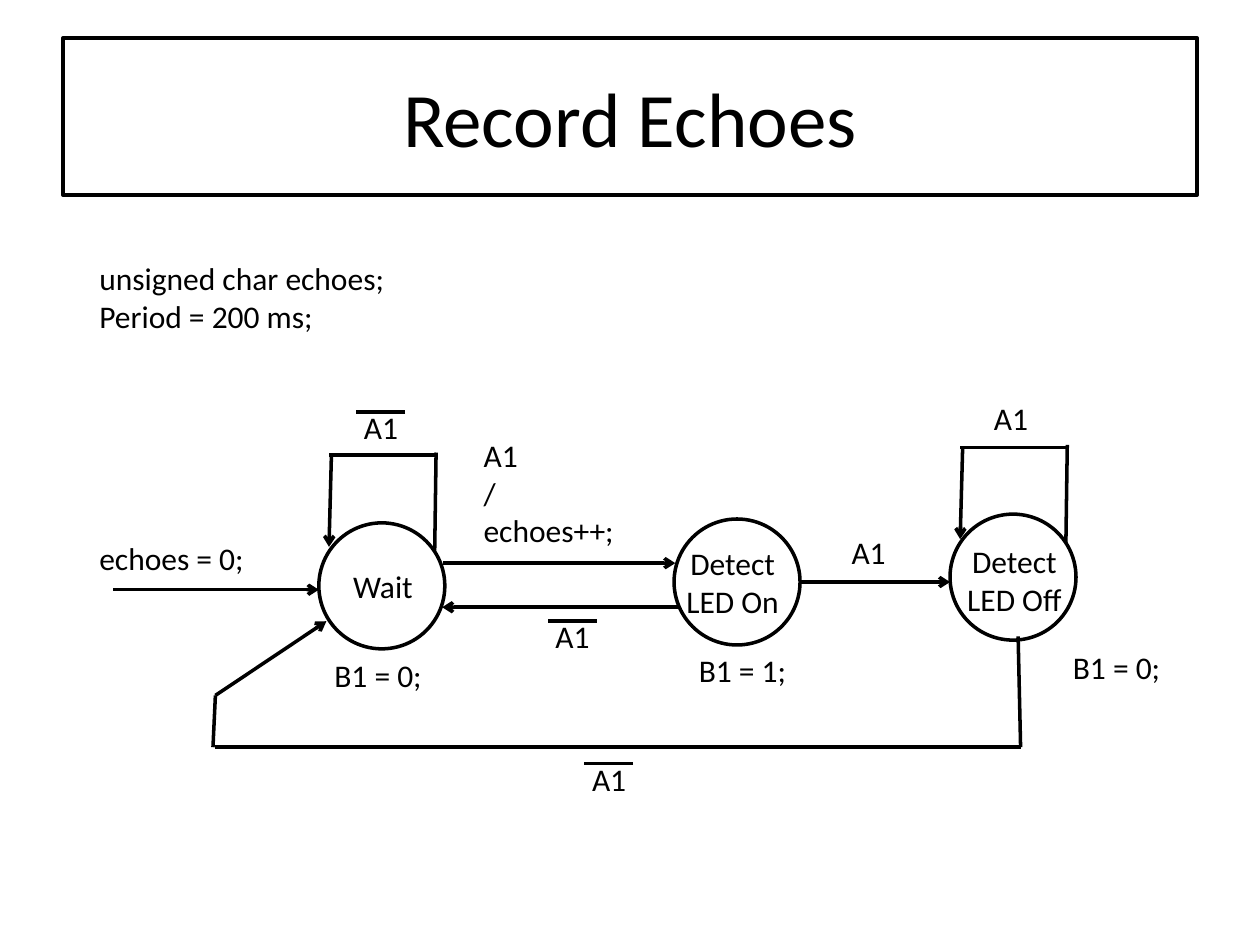
from pptx import Presentation
from pptx.util import Pt
from pptx.dml.color import RGBColor
from pptx.enum.shapes import MSO_CONNECTOR as Link, MSO_SHAPE as Shape
from pptx.enum.text import MSO_ANCHOR as Anchor, MSO_AUTO_SIZE as Fit, PP_ALIGN as Align
from pptx.oxml.ns import qn
from lxml.etree import SubElement
from dataclasses import dataclass


@dataclass(frozen=True)
class Theme:
    ink: RGBColor = RGBColor(0, 0, 0)
    paper: RGBColor = RGBColor(255, 255, 255)
    font: str = "Calibri"
    title: int = 44
    body: int = 18
    stroke: int = 2


theme = Theme()
deck = Presentation()
deck.slide_width, deck.slide_height = Pt(720), Pt(540)
slide = deck.slides.add_slide(deck.slide_layouts[5])


def write(text, left, top, width, height, holder=None, size=theme.body,
          align=Align.LEFT, anchor=Anchor.TOP, fit=Fit.SHAPE_TO_FIT_TEXT):
    box = holder or slide.shapes.add_textbox(0, 0, 0, 0)
    box.left, box.top, box.width, box.height = map(Pt, (left, top, width, height))
    frame = box.text_frame
    frame.text = text
    frame.word_wrap = True
    frame.auto_size = fit
    frame.vertical_anchor = anchor
    for paragraph in frame.paragraphs:
        paragraph.alignment = align
        for run in paragraph.runs:
            run.font.name = theme.font
            run.font.size = Pt(size)
            run.font.color.rgb = theme.ink
    return box


def draw_line(x1, y1, x2, y2, arrow=False):
    edge = slide.shapes.add_connector(Link.STRAIGHT, *map(Pt, (x1, y1, x2, y2)))
    edge.line.color.rgb = theme.ink
    edge.line.width = Pt(theme.stroke)
    if arrow:
        SubElement(edge.line._get_or_add_ln(), qn("a:tailEnd"), type="arrow")
    SubElement(edge._element.spPr, qn("a:effectLst"))


heading = write("Record Echoes", 36, 21.6, 648, 90, holder=slide.shapes.title,
                size=theme.title, align=Align.CENTER, anchor=Anchor.MIDDLE, fit=Fit.NONE)
heading.line.color.rgb = theme.ink
heading.line.width = Pt(theme.stroke)

write("unsigned char echoes;\nPeriod = 200 ms;", 49.7, 144.7, 239.8, 51)

states = [
    ("Wait", (182.2, 298.8), (184.3, 320.4, 69.1, 29), "B1 = 0;", (184, 371.5)),
    ("Detect\nLED On", (385.2, 296.6), (372.2, 307.4, 92.9, 51), "B1 = 1;", (392.2, 368.6)),
    ("Detect\nLED Off", (542.9, 293.8), (531.4, 306, 96.5, 51), "B1 = 0;", (606, 366.5)),
]
for state, corner, name_area, output, output_corner in states:
    circle = slide.shapes.add_shape(Shape.OVAL, *map(Pt, (*corner, 72, 72)))
    circle.shadow.inherit = False
    circle.fill.solid()
    circle.fill.fore_color.rgb = theme.paper
    circle.line.color.rgb = theme.ink
    circle.line.width = Pt(theme.stroke)
    write(state, *name_area, align=Align.CENTER)
    write(output, *output_corner, 77.3, 29)

for x, y in [(188, 260), (548.7, 255.6)]:
    draw_line(x + 1.4, y, x, y + 52.5, arrow=True)
    draw_line(x + 61.2, y - 1.4, x + 60.4, y + 54.7)
    draw_line(x + 61.9, y, x, y)

transitions = [
    (64.8, 337, 182.2, 337),
    (253.4, 321.8, 385.9, 321.8),
    (388.8, 347, 252.7, 347),
    (457.9, 332.6, 542.9, 332.6),
    (123.1, 397.4, 186.5, 355),
]
for transition in transitions:
    draw_line(*transition, arrow=True)

return_route = [
    (123.1, 397.4, 121.7, 427),
    (123.1, 427, 583.2, 427),
    (581.8, 363.6, 583.2, 427),
]
for segment in return_route:
    draw_line(*segment)

write("echoes = 0;", 49.7, 304.6, 110.2, 29)
write("A1\n/\nechoes++;", 269.3, 245.5, 120.2, 72.7)

conditions = [
    (200.9, 229.7, True),
    (310.3, 349.2, True),
    (331.2, 430.6, True),
    (479.5, 301, False),
    (560.9, 224.6, False),
]
for left, top, negated in conditions:
    write("A1", left, top, 41.8, 29)
    if negated:
        draw_line(left + 30.6, top + 5.8, left + 2.7, top + 5.8)

deck.save("out.pptx")
